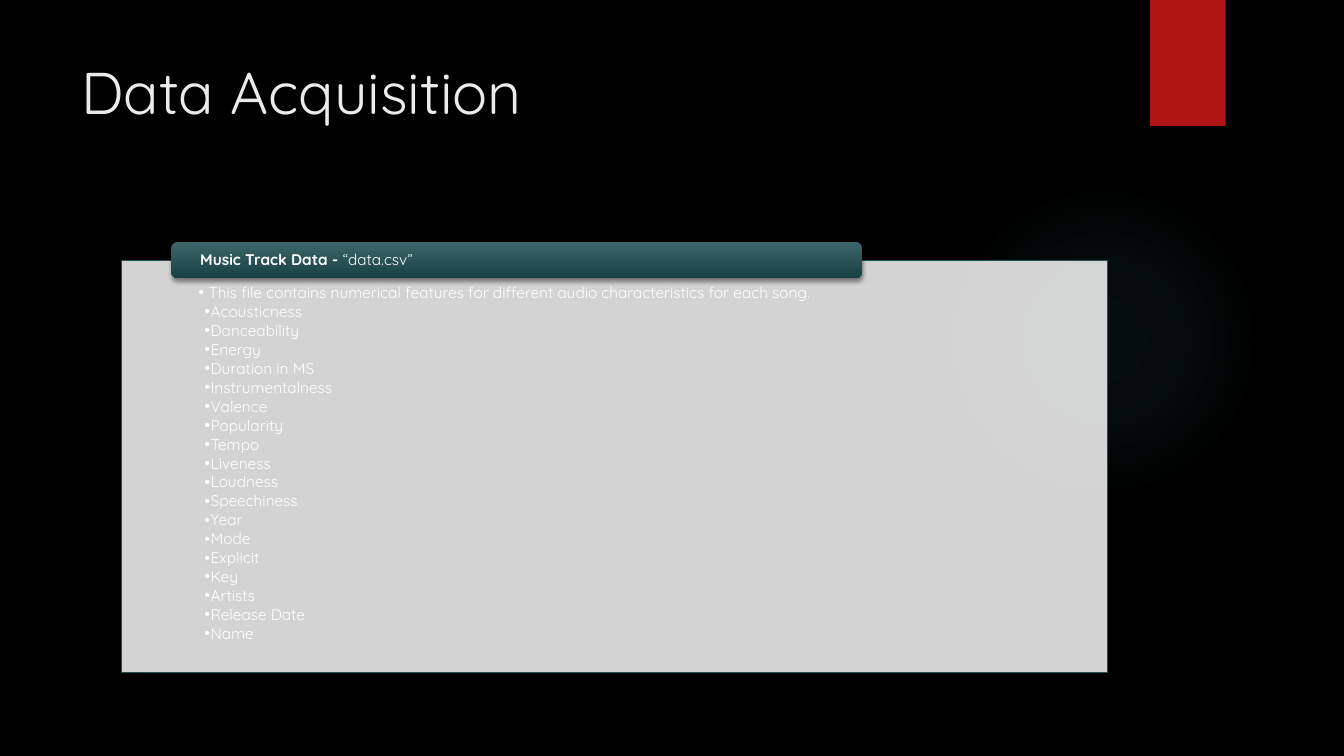
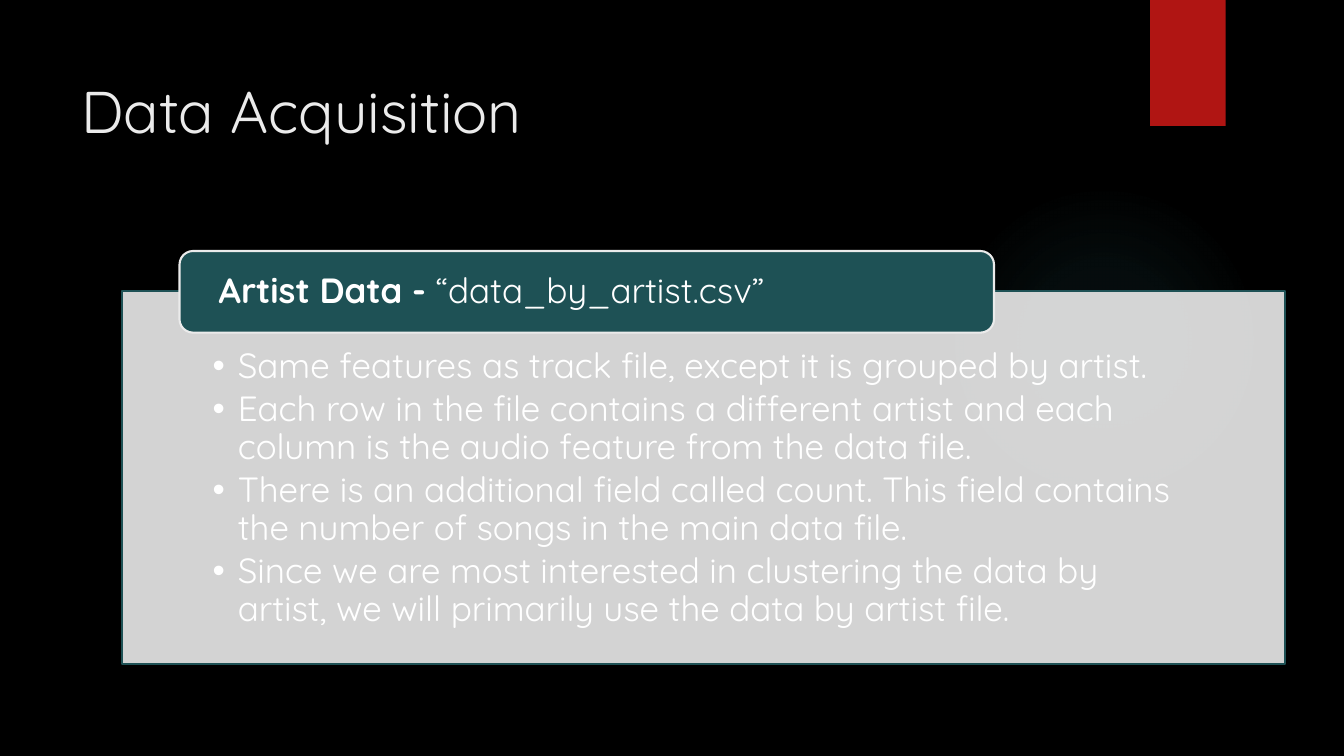
from lxml import etree
from pptx import Presentation
from pptx.dml.color import RGBColor
from pptx.enum import shapes, text
from pptx.oxml import parse_xml
from pptx.oxml.ns import nsdecls, qn
from pptx.util import Pt

FONT = "Quicksand"
BLACK, WHITE, PALE = "000000", "FFFFFF", "EBEBEB"
TEAL, GLOW, RED = "1E5155", "50B9C1", "B01513"
KIND = shapes.MSO_SHAPE

FIELDS = [
    "Acousticness", "Danceability", "Energy", "Duration in MS",
    "Instrumentalness", "Valence", "Popularity", "Tempo", "Liveness",
    "Loudness", "Speechiness", "Year", "Mode", "Explicit", "Key", "Artists",
    "Release Date", "Name",
]
NOTES = [
    "Same features as track file, except it is grouped by artist.",
    "Each row in the file contains a different artist and each column is "
    "the audio feature from the data file.",
    "There is an additional field called count. This field contains the "
    "number of songs in the main data file.",
    "Since we are most interested in clustering the data by artist, we will "
    "primarily use the data by artist file.",
]


def paint(color, value):
    color.rgb = RGBColor.from_string(value)


def add_alpha(color, percent):
    etree.SubElement(color, qn("a:alpha"), val=str(percent * 1000))


def draw(slide, kind, box, fill, alpha=100, line=None, width=0):
    shape = slide.shapes.add_shape(kind, *map(Pt, box))
    shape.shadow.inherit = False
    shape.fill.solid()
    paint(shape.fill.fore_color, fill)
    if alpha < 100:
        add_alpha(shape.fill._xPr.find(".//" + qn("a:srgbClr")), alpha)
    if line:
        paint(shape.line.color, line)
        shape.line.width = Pt(width)
    else:
        shape.line.fill.background()
    return shape


def blend(shape, stops, shade):
    """Swap the solid fill for a gradient of (place, colour, alpha) stops."""
    grad = parse_xml(f'<a:gradFill {nsdecls("a")} rotWithShape="1">'
                     f'<a:gsLst/>{shade}</a:gradFill>')
    for place, value, alpha in stops:
        stop = etree.SubElement(grad[0], qn("a:gs"), pos=str(place * 1000))
        add_alpha(etree.SubElement(stop, qn("a:srgbClr"), val=value), alpha)
    props = shape._element.spPr
    props.replace(props.find(qn("a:solidFill")), grad)


def cast(shape):
    """Give the shape a soft shadow below it."""
    effects = shape._element.spPr.find(qn("a:effectLst"))
    drop = etree.SubElement(
        effects, qn("a:outerShdw"), blurRad=str(Pt(3)), dist=str(Pt(2)),
        dir="5400000", rotWithShape="0")
    add_alpha(etree.SubElement(drop, qn("a:srgbClr"), val=BLACK), 45)


def write(shape, lines, size, color=WHITE, inset=(7.2, 3.6, 7.2, 3.6),
          anchor="TOP", leading=1.0, after=0):
    """Fill the shape with lines, each a list of (text, bold) runs."""
    frame = shape.text_frame
    frame.word_wrap = True
    frame.vertical_anchor = text.MSO_ANCHOR[anchor]
    (frame.margin_left, frame.margin_top,
     frame.margin_right, frame.margin_bottom) = map(Pt, inset)
    for index, runs in enumerate(lines):
        para = frame.add_paragraph() if index else frame.paragraphs[0]
        para.alignment = text.PP_ALIGN.LEFT
        para.line_spacing = leading
        para.space_after = Pt(after)
        for words, bold in runs:
            run = para.add_run()
            run.text = words
            run.font.name, run.font.size = FONT, Pt(size)
            run.font.bold = bold
            paint(run.font.color, color)


def bullet(para, left, hang, level=0):
    para.level = level
    props = para._p.get_or_add_pPr()
    props.set("marL", str(Pt(left)))
    props.set("indent", str(-Pt(hang)))
    etree.SubElement(props, qn("a:buFont"), typeface="Arial")
    etree.SubElement(props, qn("a:buChar"), char="•")


def start(deck, top, width):
    """Add a slide with the glow, the ribbon and the title."""
    slide = deck.slides.add_slide(deck.slide_layouts[6])
    glow = draw(slide, KIND.OVAL, (677.5, 131.8, 221.8, 221.8), GLOW)
    blend(glow, [(0, GLOW, 7), (36, GLOW, 6), (69, GLOW, 0)],
          '<a:path path="circle"><a:fillToRect l="50000" t="50000" '
          'r="50000" b="50000"/></a:path>')
    cast(draw(slide, KIND.RECTANGLE, (821.5, 0, 54, 90), RED))
    title = slide.shapes.add_textbox(Pt(51), Pt(top), Pt(width),
                                     Pt(146 - top))
    write(title, [[("Data Acquisition", False)]], 42, PALE)
    return slide


def panel(slide, box, lines, size, inset, width):
    shape = draw(slide, KIND.RECTANGLE, box, PALE, 90, TEAL, width)
    write(shape, [[(line, False)] for line in lines], size, inset=inset,
          leading=0.9, after=0.15 * size)
    return shape.text_frame.paragraphs


def tab(slide, box, name, file, size, inset, **style):
    shape = draw(slide, KIND.ROUNDED_RECTANGLE, box, TEAL, **style)
    write(shape, [[(name, True), (file, False)]], size,
          inset=(inset, 0, inset, 0), anchor="MIDDLE", leading=0.9)
    return shape


def track(deck):
    slide = start(deck, 36, 741)
    lead = "This file contains numerical features for different audio " \
           "characteristics for each song."
    first, *rest = panel(slide, (87.1, 185.8, 704.2, 294.5), [lead, *FIELDS],
                         11, (54.7, 18, 54.7, 6.5), 0.75)
    bullet(first, 7.2, 7.2)
    for para in rest:
        bullet(para, 8.64, 4.32, 1)
    head = tab(slide, (122.4, 172.8, 493.2, 25.9), "Music Track Data - ",
               "“data.csv”", 11, 19.4)
    blend(head, [(0, "3D666A", 100), (100, "184144", 100)],
          '<a:lin ang="5400000" scaled="0"/>')
    cast(head)


def artist(deck):
    slide = start(deck, 49.7, 728.6)
    for para in panel(slide, (87.1, 208.1, 830.9, 266.4), NOTES, 25,
                      (64.8, 41, 64.8, 13.7), 1.5):
        bullet(para, 18, 18)
    tab(slide, (128.2, 179.3, 581.8, 58.3), "Artist Data - ",
        "“data_by_artist.csv”", 25, 25.2, line=PALE, width=1.5)


def main():
    deck = Presentation()
    deck.slide_width, deck.slide_height = Pt(960), Pt(540)
    back = deck.slide_master.background.fill
    back.solid()
    paint(back.fore_color, BLACK)
    track(deck)
    artist(deck)
    deck.save("out.pptx")


if __name__ == "__main__":
    main()
